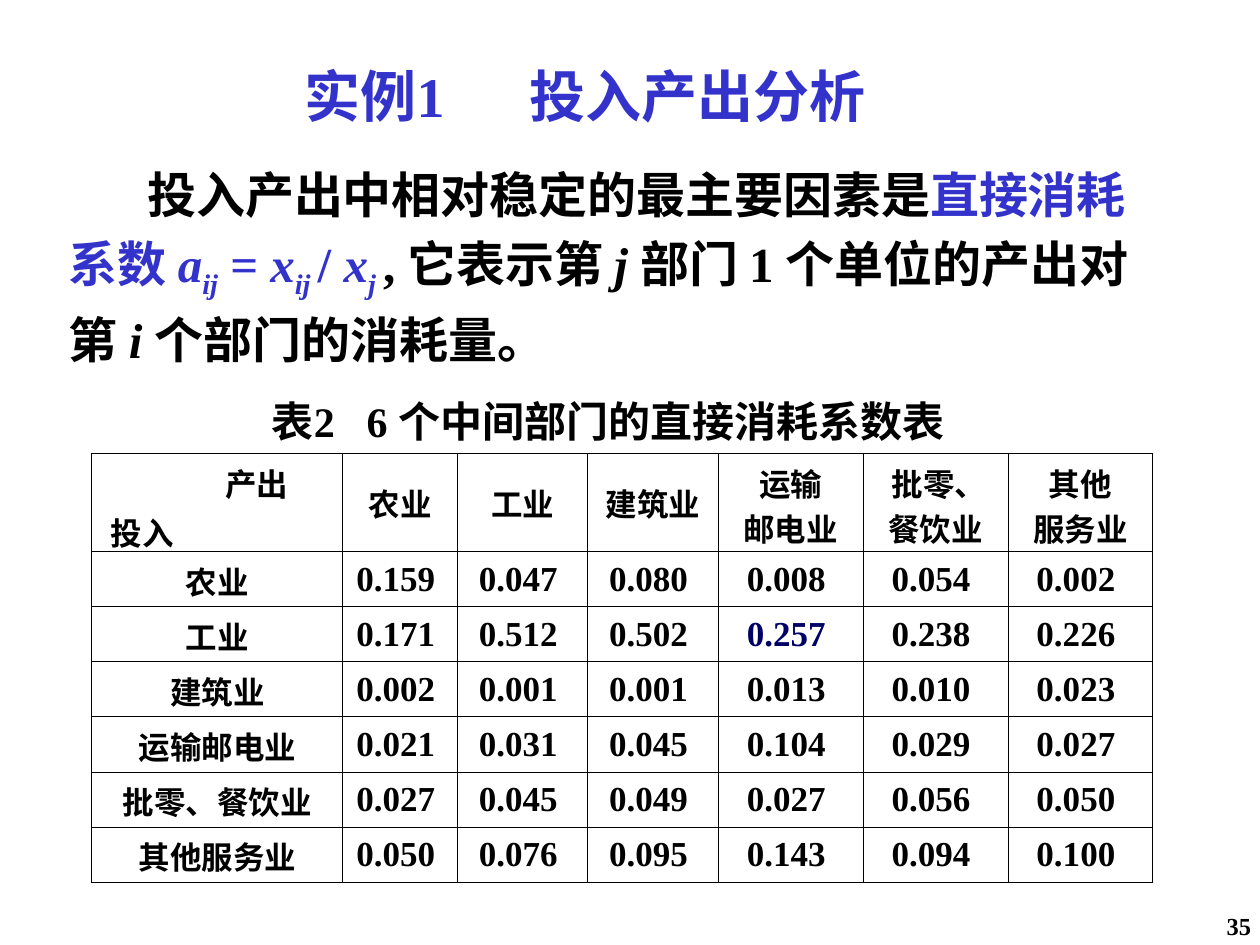
import pptx
import pptx.util
import pptx.dml.color
import pptx.enum.text
import pptx.oxml
from pptx.util import Cm, Pt

BLACK = pptx.dml.color.RGBColor(0x00, 0x00, 0x00)
BLUE = pptx.dml.color.RGBColor(0x33, 0x33, 0xCC)
NAVY = pptx.dml.color.RGBColor(0x00, 0x00, 0x66)
FONT = "Times New Roman"
ALIGN = pptx.enum.text.PP_ALIGN
ANCHOR = pptx.enum.text.MSO_ANCHOR
NAMESPACE = "http://schemas.openxmlformats.org/drawingml/2006/main"

TITLE = "实例1\t投入产出分析"
CAPTION = "表2\t6 个中间部门的直接消耗系数表"
PAGE_NUMBER = "35"
UPRIGHT_BLUE = {"color": BLUE}
ITALIC_BLUE = {"color": BLUE, "italic": True}
SUBSCRIPT_BLUE = {"color": BLUE, "italic": True, "baseline": -25000}
ITALIC = {"italic": True}
DEFINITION = [
    ("投入产出中相对稳定的最主要因素是", {}),
    ("直接消耗系数 ", UPRIGHT_BLUE),
    ("a", ITALIC_BLUE),
    ("ij", SUBSCRIPT_BLUE),
    (" = ", UPRIGHT_BLUE),
    ("x", ITALIC_BLUE),
    ("ij ", SUBSCRIPT_BLUE),
    ("/ ", UPRIGHT_BLUE),
    ("x", ITALIC_BLUE),
    ("j ", SUBSCRIPT_BLUE),
    (", 它表示第 ", {}),
    ("j ", ITALIC),
    ("部门 1 个单位的产出对第 ", {}),
    ("i ", ITALIC),
    ("个部门的消耗量。", {}),
]

CORNER = [("产出", Cm(2.44), None), ("投入", Cm(0.13), Pt(2.2))]
OUTPUT_SECTORS = ["农业", "工业", "建筑业", "运输\n邮电业", " 批零、\n餐饮业", "其他\n服务业"]
COEFFICIENTS = [
    ("农业", [0.159, 0.047, 0.080, 0.008, 0.054, 0.002]),
    ("工业", [0.171, 0.512, 0.502, 0.257, 0.238, 0.226]),
    ("建筑业", [0.002, 0.001, 0.001, 0.013, 0.010, 0.023]),
    ("运输邮电业", [0.021, 0.031, 0.045, 0.104, 0.029, 0.027]),
    ("批零、餐饮业", [0.027, 0.045, 0.049, 0.027, 0.056, 0.050]),
    ("其他服务业", [0.050, 0.076, 0.095, 0.143, 0.094, 0.100]),
]
HIGHLIGHT = (2, 4)
COLUMN_WIDTHS = [5.06, 2.32, 2.62, 2.63, 2.92, 2.92, 2.92]
HEADER_HEIGHT, ROW_HEIGHT = 1.98, 1.11
NUMBER_MARGINS = {"margin_left": Cm(0.1), "margin_right": Cm(0.28)}
NARROW_MARGINS = {"margin_left": Cm(0.1), "margin_right": Cm(0.1)}


def set_all(target, values):
    for name, value in values.items():
        setattr(target, name, value)


def add_run(paragraph, text, size, color=BLACK, baseline=None, italic=False):
    for index, line in enumerate(text.split("\n")):
        if index:
            paragraph.add_line_break()
        run = paragraph.add_run()
        run.text = line
        set_all(run.font, {"name": FONT, "size": Pt(size), "bold": True, "italic": italic})
        run.font.color.rgb = color
        if baseline:
            run._r.get_or_add_rPr().set("baseline", str(baseline))


def add_tab_stop(paragraph, position):
    paragraph._p.get_or_add_pPr().append(pptx.oxml.parse_xml(
        f'<a:tabLst xmlns:a="{NAMESPACE}"><a:tab pos="{position}" algn="l"/></a:tabLst>'))


def indent_first_line(paragraph, indent):
    properties = paragraph._p.get_or_add_pPr()
    properties.set("marL", "0")
    properties.set("indent", str(indent))


def add_text_box(slide, bounds, frame_format=None):
    frame = slide.shapes.add_textbox(*map(Cm, bounds)).text_frame
    set_all(frame, {"word_wrap": True, **(frame_format or {})})
    return frame.paragraphs[0]


def style_cell(cell, anchor, margins):
    properties = cell._tc.get_or_add_tcPr()
    for side in "LRTB":
        properties.append(pptx.oxml.parse_xml(
            f'<a:ln{side} xmlns:a="{NAMESPACE}" w="{Pt(0.45)}"><a:solidFill>'
            f'<a:srgbClr val="{BLACK}"/></a:solidFill></a:ln{side}>'))
    cell.fill.background()
    set_all(cell, {"vertical_anchor": anchor, **margins})


def fill_cell(cell, text, size, anchor, margins, color=BLACK):
    style_cell(cell, anchor, margins)
    paragraph = cell.text_frame.paragraphs[0]
    paragraph.alignment = ALIGN.CENTER
    add_run(paragraph, text, size, color)


def add_coefficient_table(slide):
    row_heights = [HEADER_HEIGHT] + [ROW_HEIGHT] * len(COEFFICIENTS)
    table = slide.shapes.add_table(
        len(row_heights), len(COLUMN_WIDTHS), Cm(1.85), Cm(9.14),
        Cm(sum(COLUMN_WIDTHS)), Cm(sum(row_heights))).table
    set_all(table, {"first_row": False, "horz_banding": False})
    for column, width in zip(table.columns, COLUMN_WIDTHS):
        column.width = Cm(width)
    for row, height in zip(table.rows, row_heights):
        row.height = Cm(height)

    corner = table.cell(0, 0)
    style_cell(corner, ANCHOR.TOP, {})
    for index, (text, indent, space) in enumerate(CORNER):
        frame = corner.text_frame
        paragraph = frame.add_paragraph() if index else frame.paragraphs[0]
        paragraph.space_before = space
        indent_first_line(paragraph, indent)
        add_run(paragraph, text, 18)

    for column, sector in enumerate(OUTPUT_SECTORS, 1):
        margins = NARROW_MARGINS if sector == "建筑业" else {}
        fill_cell(table.cell(0, column), sector, 18, ANCHOR.MIDDLE, margins)
    for row, (sector, values) in enumerate(COEFFICIENTS, 1):
        fill_cell(table.cell(row, 0), sector, 18, ANCHOR.TOP, {})
        for column, value in enumerate(values, 1):
            color = NAVY if (row, column) == HIGHLIGHT else BLACK
            fill_cell(table.cell(row, column), f"{value:.3f}", 20,
                      ANCHOR.MIDDLE, NUMBER_MARGINS, color)


def main():
    presentation = pptx.Presentation()
    set_all(presentation, {"slide_width": Cm(25.4), "slide_height": Cm(19.05)})
    slide = presentation.slides.add_slide(presentation.slide_layouts[6])

    number = add_text_box(slide, (24.05, 18.34, 1.22, 0.66), {
        "margin_left": Cm(0.05), "margin_right": Cm(0.05),
        "margin_top": Cm(0.03), "margin_bottom": Cm(0.03)})
    number.alignment = ALIGN.RIGHT
    add_run(number, PAGE_NUMBER, 14)

    title = add_text_box(slide, (5.89, 1.12, 13.21, 1.63))
    add_tab_stop(title, Cm(4.53))
    add_run(title, TITLE, 32, BLUE)

    caption = add_text_box(slide, (5.23, 7.77, 14.81, 1.42), {"vertical_anchor": ANCHOR.MIDDLE})
    add_tab_stop(caption, Cm(1.91))
    add_run(caption, CAPTION, 24)

    add_coefficient_table(slide)

    definition = add_text_box(slide, (1.14, 3.02, 22.33, 4.55))
    definition.line_spacing = 1.15
    indent_first_line(definition, Cm(1.58))
    for text, style in DEFINITION:
        add_run(definition, text, 28, **style)

    presentation.save("out.pptx")


if __name__ == "__main__":
    main()
